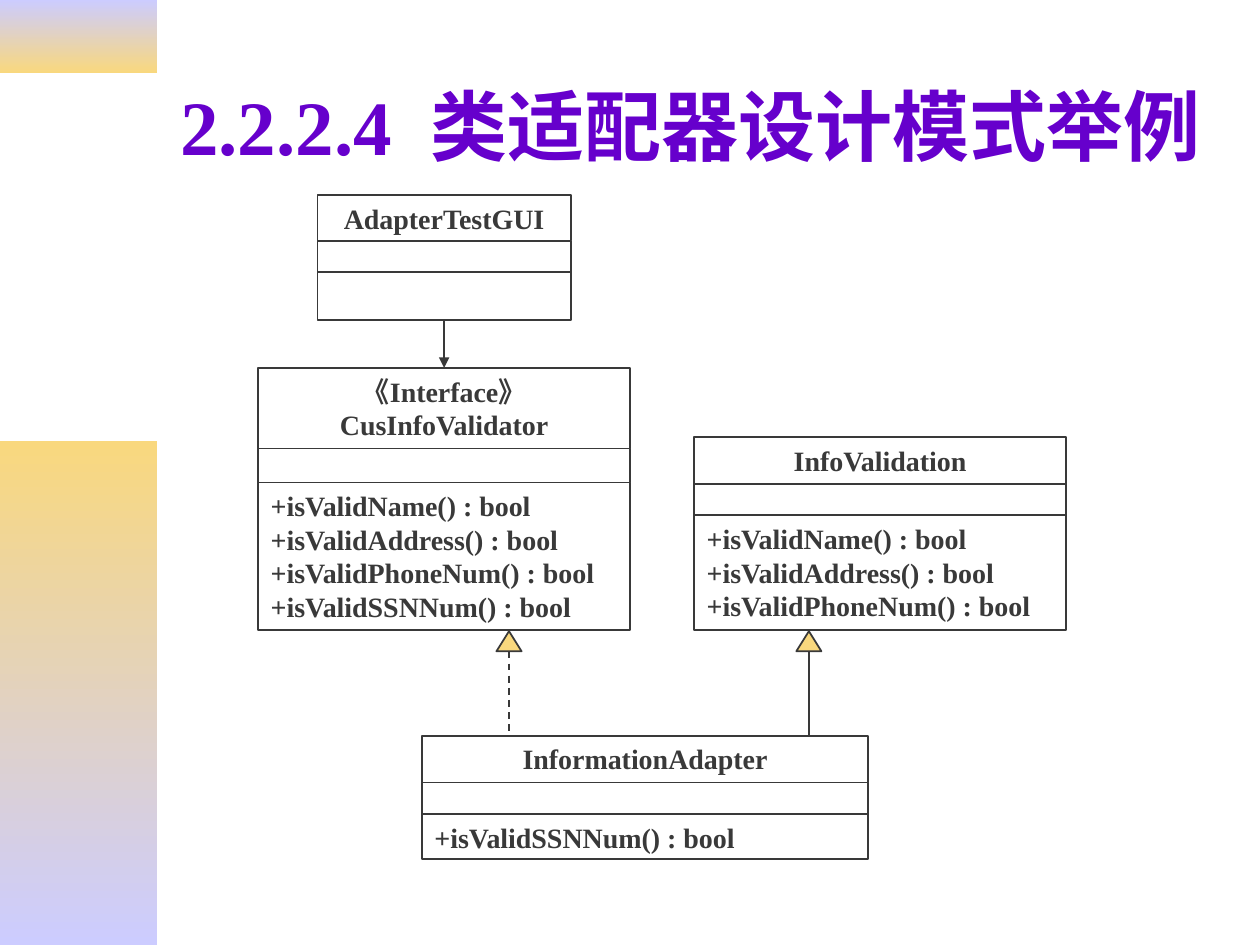
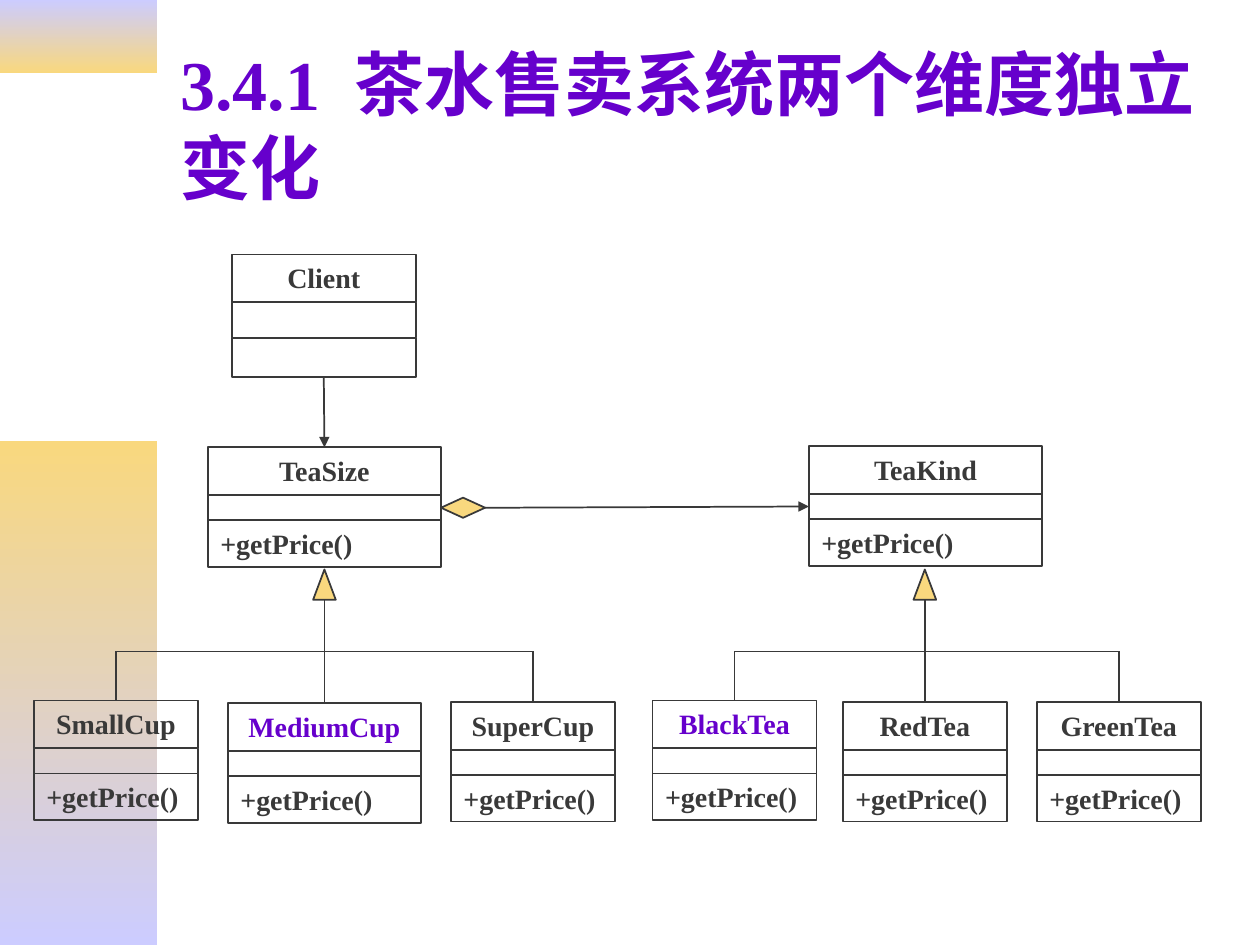
import pptx
import pptx.util
import pptx.dml.color
import pptx.enum.dml
import pptx.enum.shapes
import pptx.enum.text
import pptx.oxml.ns
import lxml.etree

Inches = pptx.util.Inches
Pt = pptx.util.Pt
SHAPE = pptx.enum.shapes.MSO_SHAPE
ALIGN = pptx.enum.text.PP_ALIGN

FONT = "Times New Roman"
PURPLE, INK, GOLD, LILAC = "6600CC", "393939", "F9D87E", "CCCCFF"
TOP, LEFT, BOTTOM, RIGHT = range(4)

# Content: title is (number, text, size)
# Class: left, top, width, compartment heights, name lines, operations
BANDS = [(0, 0.58, LILAC, GOLD), (3.5, 4, GOLD, LILAC)]  # top, height, colours

ADAPTER_TITLE = ("2.2.2.4", "类适配器设计模式举例", 44)
CHECKS = ["+isValidName() : bool", "+isValidAddress() : bool",
          "+isValidPhoneNum() : bool"]
SSN_CHECK = "+isValidSSNNum() : bool"
ADAPTER_CLASSES = {
    "gui": (2.52, 1.55, 2.01, (0.36, 0.25, 0.38), ["AdapterTestGUI"], []),
    "interface": (2.05, 2.92, 2.95, (0.64, 0.27, 1.17),
                  ["《Interface》", "CusInfoValidator"], CHECKS + [SSN_CHECK]),
    "validation": (5.51, 3.47, 2.95, (0.37, 0.25, 0.91),
                   ["InfoValidation"], CHECKS),
    "adapter": (3.35, 5.84, 3.54, (0.37, 0.25, 0.36),
                ["InformationAdapter"], [SSN_CHECK]),
}
ADAPTER_PARENTS = [(4.04, True), (6.42, False)]  # centre, dashed

TEA_TITLE = ("3.4.1", "茶水售卖系统两个维度独立变化", 40)
PRICE = ["+getPrice()"]
TEA_ROWS = (0.38, 0.2, 0.37)
TEA_CLASSES = {
    name: (left, top, width, TEA_ROWS, [name], PRICE)
    for name, left, top, width in [
        ("TeaSize", 1.65, 3.55, 1.85), ("TeaKind", 6.42, 3.54, 1.85),
        ("SmallCup", 0.27, 5.56, 1.3), ("MediumCup", 1.81, 5.58, 1.53),
        ("SuperCup", 3.58, 5.57, 1.3), ("BlackTea", 5.18, 5.56, 1.3),
        ("RedTea", 6.69, 5.57, 1.3), ("GreenTea", 8.23, 5.57, 1.3)]
}
TEA_CLASSES["Client"] = (1.84, 2.02, 1.46, (0.38, 0.28, 0.31), ["Client"], [])
HIGHLIGHTED = {"MediumCup", "BlackTea"}
TEA_FAMILIES = [["SmallCup", "MediumCup", "SuperCup"],
                ["BlackTea", "RedTea", "GreenTea"]]
BUS_Y = 5.17


def rgb(value):
    return pptx.dml.color.RGBColor.from_string(value)


def add_run(p, text, size, color):
    r = p.add_run()
    r.text = text
    r.font.name, r.font.size, r.font.bold = FONT, Pt(size), True
    r.font.color.rgb = rgb(color)
    return r


def add_box(slide, kind, left, top, width, height, fill=None):
    sp = slide.shapes.add_shape(kind, Inches(left), Inches(top),
                                Inches(width), Inches(height))
    sp.shadow.inherit = False
    if fill:
        sp.fill.solid()
        sp.fill.fore_color.rgb = rgb(fill)
    else:
        sp.fill.background()
    sp.line.color.rgb = rgb(INK)
    sp.line.width = Pt(1)
    return sp


def add_class(slide, left, top, width, heights, names, operations, color=INK):
    """Stack name, attribute and operation compartments; return all three."""
    parts = []
    texts = [(names, ALIGN.CENTER, color), ([], None, INK),
             (operations, ALIGN.LEFT, INK)]
    for height, (lines, align, ink) in zip(heights, texts):
        sp = add_box(slide, SHAPE.RECTANGLE, left, top, width, height)
        tf = sp.text_frame
        tf.word_wrap = True
        tf.vertical_anchor = pptx.enum.text.MSO_ANCHOR.TOP
        for i, line in enumerate(lines):
            p = tf.add_paragraph() if i else tf.paragraphs[0]
            p.alignment = align
            add_run(p, line, 16, ink)
        parts.append(sp)
        top += height
    return parts


def add_line(slide, x1, y1, x2, y2, begin=None, end=None, arrow=False,
             dashed=False):
    """Draw a line; begin and end are optional (shape, side) pairs."""
    line = slide.shapes.add_connector(
        pptx.enum.shapes.MSO_CONNECTOR.STRAIGHT,
        Inches(x1), Inches(y1), Inches(x2), Inches(y2))
    if begin:
        line.begin_connect(*begin)
    if end:
        line.end_connect(*end)
    line.line.color.rgb = rgb(INK)
    line.line.width = Pt(1)
    if dashed:
        line.line.dash_style = pptx.enum.dml.MSO_LINE.DASH
    qn = pptx.oxml.ns.qn
    sp_pr = line.element.spPr
    if arrow:
        lxml.etree.SubElement(sp_pr.find(qn("a:ln")), qn("a:tailEnd"),
                              type="triangle")
    lxml.etree.SubElement(sp_pr, qn("a:effectLst"))


def join(slide, begin, end):
    add_line(slide, 0, 0, 1, 1, begin, end, arrow=True)


def add_slide(prs, number, text, size):
    slide = prs.slides.add_slide(prs.slide_layouts[5])
    title = slide.shapes.title
    title.left, title.top = Inches(1.33), Inches(0.33)
    title.width, title.height = Inches(8.5), Inches(1.32)
    tf = title.text_frame
    tf.word_wrap = True
    tf.auto_size = pptx.enum.text.MSO_AUTO_SIZE.NONE
    tf.vertical_anchor = pptx.enum.text.MSO_ANCHOR.MIDDLE
    p = tf.paragraphs[0]
    p.alignment = ALIGN.LEFT
    add_run(p, number, size, PURPLE)
    # Widen the gap after the section number by a quarter em
    gap = add_run(p, " ", size, PURPLE)
    gap.font._element.set("spc", str(size * 25))
    add_run(p, text, size, PURPLE)
    return slide


def add_bands(prs, slide):
    """Draw the gradient bands and move them to the slide master."""
    for top, height, *colors in BANDS:
        sp = add_box(slide, SHAPE.RECTANGLE, 0, top, 1.25, height)
        sp.line.fill.background()
        sp.fill.gradient()
        sp.fill.gradient_angle = 270
        for stop, color, position in zip(sp.fill.gradient_stops, colors, (0, 1)):
            stop.color.rgb = rgb(color)
            stop.position = position
        prs.slide_master.shapes.element.insert(2, sp.element)


def build_adapter(slide):
    boxes = {key: add_class(slide, *c) for key, c in ADAPTER_CLASSES.items()}
    join(slide, (boxes["gui"][-1], BOTTOM), (boxes["interface"][0], TOP))
    # Realization and inheritance
    adapter_top = ADAPTER_CLASSES["adapter"][1]
    for x, dashed in ADAPTER_PARENTS:
        add_box(slide, SHAPE.FLOWCHART_EXTRACT, x - 0.1, 5.01, 0.2, 0.16, GOLD)
        add_line(slide, x, 5.17, x, adapter_top, dashed=dashed)


def build_tea(slide):
    boxes = {name: add_class(slide, *c,
                             color=PURPLE if name in HIGHLIGHTED else INK)
             for name, c in TEA_CLASSES.items()}
    join(slide, (boxes["Client"][-1], BOTTOM), (boxes["TeaSize"][0], TOP))
    # Aggregation
    diamond = add_box(slide, SHAPE.DIAMOND, 3.5, 3.95, 0.35, 0.16, GOLD)
    join(slide, (diamond, RIGHT), (boxes["TeaKind"][1], LEFT))
    # Inheritance trees: triangle, trunk, bus and branches
    for children in TEA_FAMILIES:
        centres = [TEA_CLASSES[c][0] + TEA_CLASSES[c][2] / 2 for c in children]
        trunk = centres[1]
        add_box(slide, SHAPE.ISOSCELES_TRIANGLE, trunk - 0.09, 4.52, 0.18, 0.24,
                GOLD)
        add_line(slide, trunk, 4.76, trunk, BUS_Y)
        add_line(slide, centres[0], BUS_Y, centres[-1], BUS_Y)
        for child, x in zip(children, centres):
            add_line(slide, x, BUS_Y, x, TEA_CLASSES[child][1],
                     end=(boxes[child][0], TOP))


def main():
    prs = pptx.Presentation()
    prs.slide_width, prs.slide_height = Inches(10), Inches(7.5)
    adapter = add_slide(prs, *ADAPTER_TITLE)
    add_bands(prs, adapter)
    build_adapter(adapter)
    build_tea(add_slide(prs, *TEA_TITLE))
    prs.save("out.pptx")


if __name__ == "__main__":
    main()
